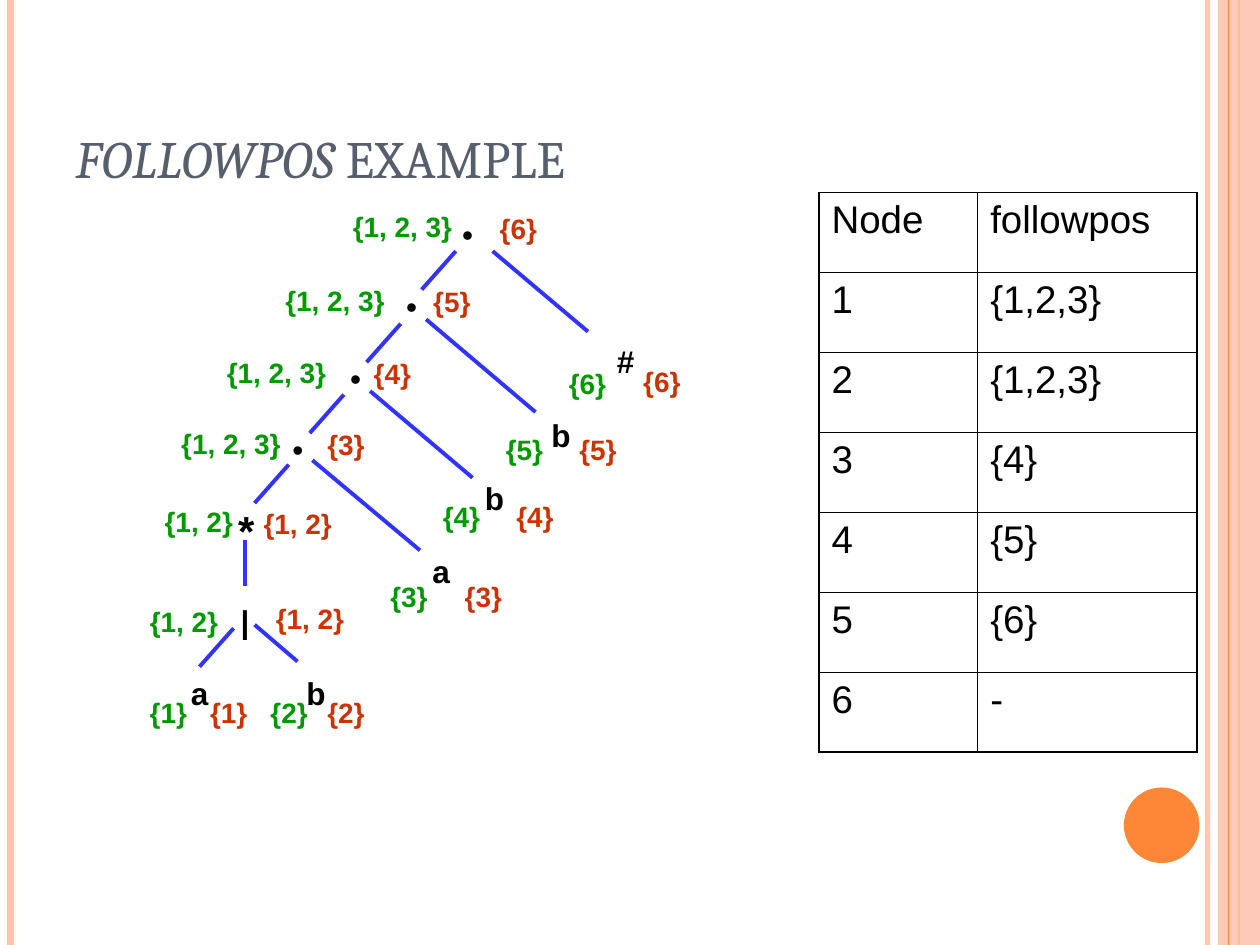
from lxml.etree import SubElement
from pptx import Presentation
from pptx.dml.color import RGBColor
from pptx.enum.shapes import MSO_CONNECTOR, MSO_SHAPE
from pptx.enum.text import MSO_ANCHOR, MSO_AUTO_SIZE, PP_ALIGN
from pptx.oxml.ns import qn
from pptx.util import Pt

COLORS = {name: RGBColor.from_string(value) for name, value in {
    "peach": "FEC3AE", "orange": "FE8637", "title": "575F6D", "black": "000000",
    "edge": "3333FF", "firstpos": "009900", "lastpos": "CC3300"}.items()}

deck = Presentation()
deck.slide_width, deck.slide_height = Pt(720), Pt(540)
page = deck.slides.add_slide(deck.slide_layouts[5])


def add_line(x1, y1, x2, y2, color, width):
    line = page.shapes.add_connector(
        MSO_CONNECTOR.STRAIGHT, Pt(x1), Pt(y1), Pt(x2), Pt(y2))
    line.line.color.rgb = COLORS[color]
    line.line.width = Pt(width)
    SubElement(line._element.spPr, qn("a:effectLst"))
    return line


def add_label(text, left, top, width, height, size, color, bold=True):
    box = page.shapes.add_textbox(Pt(left), Pt(top), Pt(width), Pt(height))
    box.text_frame.word_wrap = False
    box.text_frame.auto_size = MSO_AUTO_SIZE.SHAPE_TO_FIT_TEXT
    para = box.text_frame.paragraphs[0]
    para.text = text
    para.font.name = "Arial"
    para.font.size = Pt(size)
    para.font.bold = bold
    para.font.color.rgb = COLORS[color]


# Side stripes and the corner disc
stripe = add_line(690, 0, 690, 540, "peach", 3)
stripe_color = stripe.line._ln.find(".//" + qn("a:srgbClr"))
SubElement(stripe_color, qn("a:alpha"), val="93000")
add_line(6, 0, 6, 540, "peach", 4.5)
add_line(708, 0, 708, 540, "orange", 1.5)

for kind, left, top, width, height, color in [
        (MSO_SHAPE.RECTANGLE, 696, 0, 24, 540, "peach"),
        (MSO_SHAPE.OVAL, 642.24, 450, 43.2, 43.2, "orange")]:
    shape = page.shapes.add_shape(kind, Pt(left), Pt(top), Pt(width), Pt(height))
    shape.shadow.inherit = False
    shape.fill.solid()
    shape.fill.fore_color.rgb = COLORS[color]
    shape.line.fill.background()
    if kind == MSO_SHAPE.RECTANGLE:
        band_color = shape._element.spPr.find(".//" + qn("a:srgbClr"))
        SubElement(band_color, qn("a:alpha"), val="87000")
add_line(702, 0, 702, 540, "orange", 0.75)

# Title
title = page.shapes.title
title.left, title.top, title.width, title.height = Pt(36), Pt(21.6), Pt(588), Pt(90)
title.text_frame.auto_size = MSO_AUTO_SIZE.NONE
title.text_frame.vertical_anchor = MSO_ANCHOR.BOTTOM
para = title.text_frame.paragraphs[0]
para.alignment = PP_ALIGN.LEFT
para.font.name = "Cambria"
para.font.size = Pt(30)
para.font.color.rgb = COLORS["title"]
for text, italic in [("FOLLOWPOS", True), (" EXAMPLE", False)]:
    span = para.add_run()
    span.text = text
    span.font.italic = italic

# Table of followpos sets
rows = [("Node", "followpos"), ("1", "{1,2,3}"), ("2", "{1,2,3}"), ("3", "{4}"),
        ("4", "{5}"), ("5", "{6}"), ("6", "-")]
row_height = 45.7
table = page.shapes.add_table(len(rows), 2, Pt(468), Pt(110), Pt(216),
                              Pt(row_height * len(rows))).table
table.first_row = table.horz_banding = False
for column, width in zip(table.columns, (90.7, 125.3)):
    column.width = Pt(width)
for r, values in enumerate(rows):
    table.rows[r].height = Pt(row_height)
    for c, text in enumerate(values):
        cell = table.cell(r, c)
        cell.text = text
        para = cell.text_frame.paragraphs[0]
        para.font.name = "Arial"
        para.font.size = Pt(22)
        para.font.color.rgb = COLORS["black"]
        properties = cell._tc.get_or_add_tcPr()
        outer_sides = {"lnL": c == 0, "lnR": c == 1,
                       "lnT": r == 0, "lnB": r == len(rows) - 1}
        for side, outer in outer_sides.items():
            border = SubElement(properties, qn("a:" + side),
                                w=str(Pt(1.08 if outer else 0.45)))
            fill = SubElement(border, qn("a:solidFill"))
            SubElement(fill, qn("a:srgbClr"), val=str(COLORS["black"]))
        cell.fill.background()

# Syntax tree: edges to left children share one slope and size
for x, y in [(260.5, 143.5), (229, 185), (196.5, 225.5), (165, 265.5), (133.5, 359)]:
    add_line(x, y, x - 19.5, y + 22, "edge", 2.25)
for x1, y1, x2, y2 in [
        (281.5, 143.5, 336, 189.5), (243.5, 182.5, 306, 235.5),
        (211.5, 223.5, 270, 273), (178.5, 263, 240, 314.5),
        (145.5, 357, 170, 378), (140, 308.5, 140, 335)]:
    add_line(x1, y1, x2, y2, "edge", 2.25)

# Each node: symbol, then firstpos and lastpos, each with its left and top
nodes = [
    ("•", 257, 119.5, "{1, 2, 3}", 194.5, 116, "{6}", 278.5, 117.5),
    ("•", 225, 160.5, "{1, 2, 3}", 156, 158.5, "{5}", 240.5, 159),
    ("•", 193, 201.5, "{1, 2, 3}", 122.5, 199.5, "{4}", 206.5, 200),
    ("•", 160, 242, "{1, 2, 3}", 96.5, 240, "{3}", 180, 241),
    ("*", 129, 285, "{1, 2}", 87, 284.5, "{1, 2}", 143.5, 286),
    ("|", 130.5, 340.5, "{1, 2}", 78.5, 342, "{1, 2}", 150.5, 340),
    ("#", 345.5, 192, "{6}", 318, 206, "{6}", 360.5, 205),
    ("b", 308, 234, "{5}", 282, 243.5, "{5}", 324, 243.5),
    ("b", 270, 270, "{4}", 246, 282, "{4}", 288, 282),
    ("a", 240, 312, "{3}", 216, 327.5, "{3}", 258.5, 327.5),
    ("a", 102, 381.5, "{1}", 78.5, 394, "{1}", 113, 394),
    ("b", 168, 381.5, "{2}", 147.5, 394, "{2}", 180, 394),
]
symbol_widths = {"•": 21.5, "*": 23.8, "|": 19.4, "#": 24.5, "a": 24.5, "b": 25.2}
for symbol, x, y, first, first_x, first_y, last, last_x, last_y in nodes:
    size, height = (24, 36) if symbol == "*" else (18, 29)
    add_label(symbol, x, y, symbol_widths[symbol], height, size, "black", symbol != "•")
    for text, left, top, color in [(first, first_x, first_y, "firstpos"),
                                   (last, last_x, last_y, "lastpos")]:
        add_label(text, left, top, 17.6 + 6 * len(text), 26.6, 16, color)

deck.save("out.pptx")
